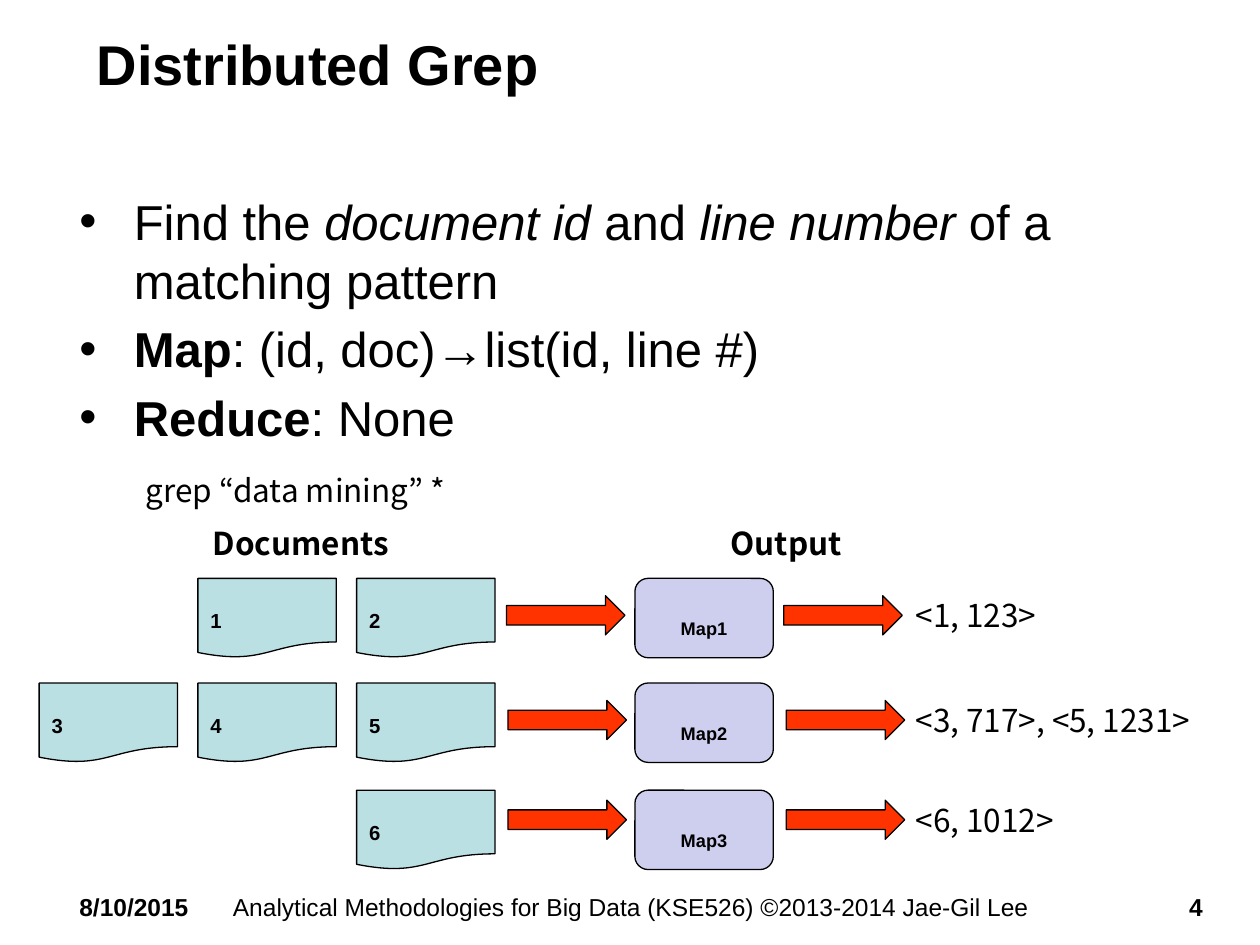
from lxml import etree
from pptx import Presentation
from pptx import util as u
from pptx.dml.color import RGBColor
from pptx.enum import shapes, text
from pptx.oxml import ns


class Theme:
    ink = RGBColor(0x00, 0x00, 0x00)
    paper = RGBColor(0xFF, 0xFF, 0xFF)
    document = RGBColor(0xBB, 0xE0, 0xE3)
    mapper = RGBColor(0xCE, 0xCE, 0xEF)
    arrow = RGBColor(0xFF, 0x33, 0x00)
    sans, gothic, serif = "Arial", "Noto Sans CJK KR", "Times New Roman"
    title, body, number, label, footer = 32, 28, 20, 18, 14


def write(p, content, size=Theme.label, font=Theme.sans, bold=False, italic=False, base=0):
    r = p.add_run()
    r.text = content
    r.font.size = u.Pt(size)
    r.font.name = font
    r.font.bold = bold
    r.font.italic = italic
    r.font.color.rgb = Theme.ink
    rPr = r.font._element
    etree.SubElement(rPr, ns.qn("a:ea")).set("typeface", font)
    if base:
        rPr.set("baseline", str(base * 1000))


def add_box(left, top, width, height, kind=None, fill=None):
    at = [u.Cm(v) for v in (left, top, width, height)]
    if kind is None:
        sp = s.shapes.add_textbox(*at)
    else:
        sp = s.shapes.add_shape(kind, *at)
        sp.shadow.inherit = False
        sp.fill.solid()
        sp.fill.fore_color.rgb = fill
        sp.line.color.rgb = Theme.ink
        sp.line.width = u.Pt(0.75)
    sp.text_frame.word_wrap = True
    return sp.text_frame


prs = Presentation()
prs.slide_width, prs.slide_height = u.Cm(25.4), u.Cm(19.05)
s = prs.slides.add_slide(prs.slide_layouts[6])
s.background.fill.solid()
s.background.fill.fore_color.rgb = Theme.paper

footers = [
    (1.35, 3.38, "8/10/2015", True, text.PP_ALIGN.LEFT),
    (23.72, 1.37, "4", True, text.PP_ALIGN.LEFT),
    (4.42, 16.61, "Analytical Methodologies for Big Data (KSE526) ©2013-2014 Jae-Gil Lee",
     False, text.PP_ALIGN.CENTER),
]
for left, width, content, bold, align in footers:
    p = add_box(left, 17.86, width, 0.86).paragraphs[0]
    p.alignment = align
    write(p, content, size=Theme.footer, bold=bold)

tf = add_box(1.7, 0.48, 22.05, 1.6)
tf.vertical_anchor = text.MSO_ANCHOR.MIDDLE
write(tf.paragraphs[0], "Distributed Grep", size=Theme.title, bold=True)

bullets = [
    [("Find the ", {}), ("document id ", {"italic": True}), ("and ", {}),
     ("line number ", {"italic": True}), ("of a matching pattern", {})],
    [("Map", {"bold": True}), (": (id, doc)", {}), ("→", {"font": Theme.serif}),
     ("list(id, line #)", {})],
    [("Reduce", {"bold": True}), (": None", {})],
]
tf = add_box(1.35, 3.73, 23.24, 14)
for i, runs in enumerate(bullets):
    p = tf.add_paragraph() if i else tf.paragraphs[0]
    p.space_before = u.Pt(Theme.body * 0.2)
    pPr = p._p.get_or_add_pPr()
    pPr.set("marL", str(u.Cm(1.1)))
    pPr.set("indent", str(-u.Cm(1.1)))
    etree.SubElement(pPr, ns.qn("a:buFont")).set("typeface", Theme.sans)
    etree.SubElement(pPr, ns.qn("a:buChar")).set("char", "•")
    for content, style in runs:
        write(p, content, size=Theme.body, **style)

captions = [
    (2.69, 9.37, 6.81, "grep “data mining” *", False),
    (4.04, 10.44, 6, "Documents", True),
    (14.48, 10.44, 6, "Output", True),
]
for left, top, width, content, bold in captions:
    tf = add_box(left, top, width, 1.02)
    write(tf.paragraphs[0], content, font=Theme.gothic, bold=bold)

card_w, card_h = 2.79, 1.6
arrow_w, arrow_h = 2.39, 0.79
output_h = 1.02
rows = [
    (11.66, 12.01, 10.21, 15.8, ["1", "2"], "Map1", "<1, 123>"),
    (13.77, 14.12, 10.24, 15.85, ["3", "4", "5"], "Map2", "<3, 717>, <5, 1231>"),
    (15.93, 16.13, 10.24, 15.85, ["6"], "Map3", "<6, 1012>"),
]
for top, arrow_top, in_left, out_left, documents, mapper, output in rows:
    for i, number in enumerate(reversed(documents)):
        tf = add_box(7.19 - 3.2 * i, top, card_w, card_h,
                     shapes.MSO_SHAPE.FLOWCHART_DOCUMENT, Theme.document)
        tf.vertical_anchor = text.MSO_ANCHOR.TOP
        tf.paragraphs[0].alignment = text.PP_ALIGN.LEFT
        write(tf.paragraphs[0], number, size=Theme.number, bold=True, base=-25)

    for left in (in_left, out_left):
        add_box(left, arrow_top, arrow_w, arrow_h,
                shapes.MSO_SHAPE.RIGHT_ARROW, Theme.arrow)

    tf = add_box(12.8, top, card_w, card_h,
                 shapes.MSO_SHAPE.ROUNDED_RECTANGLE, Theme.mapper)
    tf.margin_left = tf.margin_right = tf.margin_top = tf.margin_bottom = 0
    tf.vertical_anchor = text.MSO_ANCHOR.MIDDLE
    tf.paragraphs[0].alignment = text.PP_ALIGN.CENTER
    write(tf.paragraphs[0], mapper, bold=True, base=-25)

    tf = add_box(18.21, arrow_top + (arrow_h - output_h) / 2, 6.91, output_h)
    tf.vertical_anchor = text.MSO_ANCHOR.MIDDLE
    write(tf.paragraphs[0], output, font=Theme.gothic)

prs.save("out.pptx")
